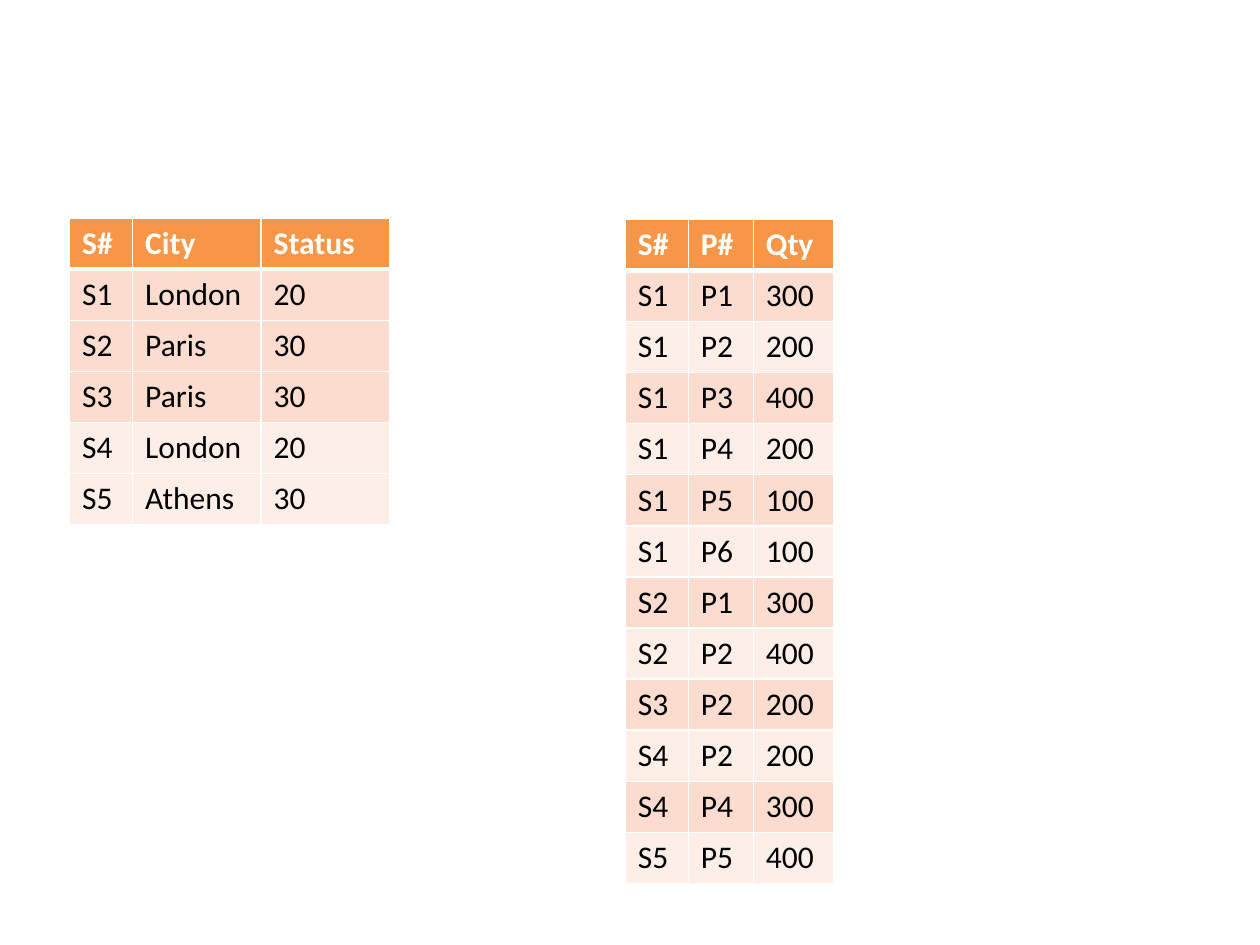
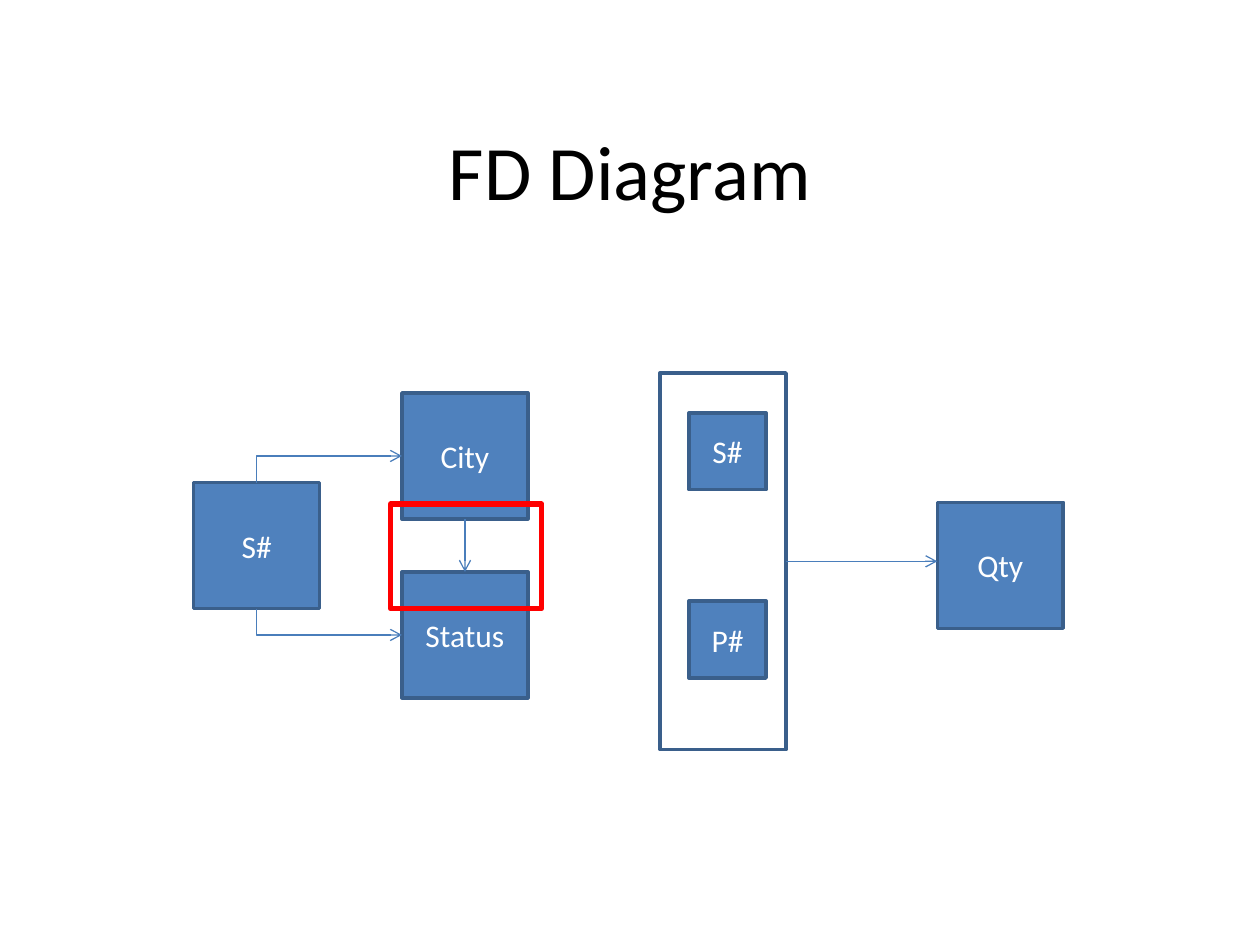
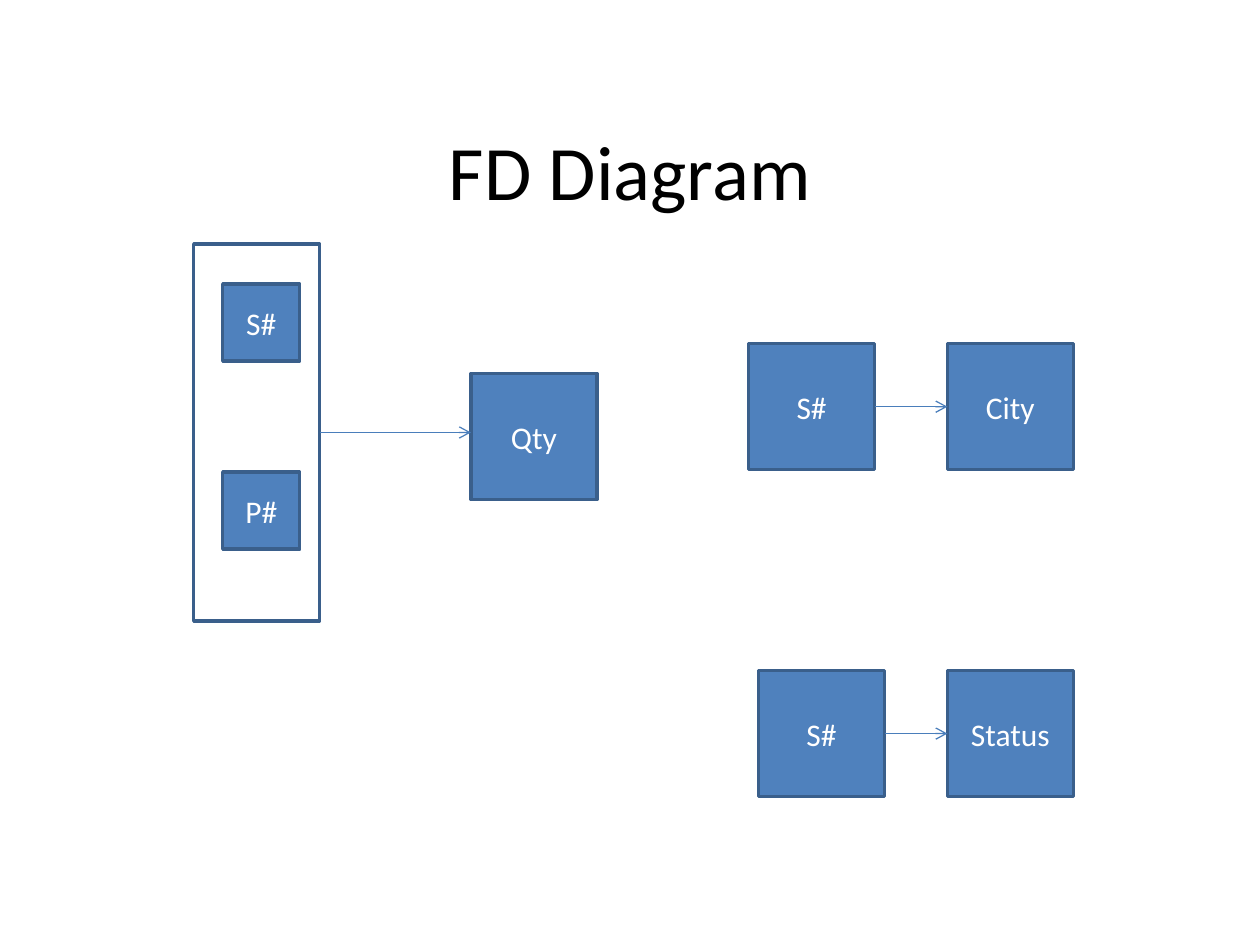
from lxml.etree import SubElement
from pptx import Presentation
from pptx.dml.color import RGBColor
from pptx.enum.shapes import MSO_CONNECTOR as Connector, MSO_SHAPE as Shape
from pptx.enum.text import MSO_ANCHOR as Anchor, PP_ALIGN as Align
from pptx.oxml.ns import qn
from pptx.util import Pt

FONT = "Calibri"
WHITE, BLACK, RED = "FFFFFF", "000000", "FF0000"
BLUE, DARK_BLUE, ARROW_BLUE = "4F81BD", "3A5F8B", "4A7EBB"
HEADER, DARK_BAND, LIGHT_BAND = "F79646", "FBDCCF", "FDEEE8"
TITLE_ONLY, BLANK = 5, 6
BOX, KEY_BOX, ROW_HEIGHT = 72, 44, 29.2


def color(value):
    return RGBColor.from_string(value)


def write(frame, text, size=18, ink=WHITE, bold=False, align=Align.CENTER):
    paragraph = frame.paragraphs[0]
    paragraph.alignment = align
    run = paragraph.add_run()
    run.text = text
    run.font.name, run.font.size, run.font.bold = FONT, Pt(size), bold
    run.font.color.rgb = color(ink)


def set_border(cell, side, width):
    line = SubElement(cell._tc.get_or_add_tcPr(), qn(f"a:ln{side}"), w=str(Pt(width)))
    fill = SubElement(line, qn("a:solidFill"))
    SubElement(fill, qn("a:srgbClr"), val=WHITE)


def side_point(shape, side):
    """Middle of one side of a shape, in points."""
    x, y = shape.left.pt, shape.top.pt
    width, height = shape.width.pt, shape.height.pt
    across, down = {"left": (0, 0.5), "right": (1, 0.5),
                    "top": (0.5, 0), "bottom": (0.5, 1)}[side]
    return x + across * width, y + down * height


class Deck:
    def __init__(self):
        self.presentation = Presentation()
        self.presentation.slide_width = Pt(720)
        self.presentation.slide_height = Pt(540)
        self.slide = None

    def new_slide(self, title=None):
        layout = self.presentation.slide_layouts[TITLE_ONLY if title else BLANK]
        self.slide = self.presentation.slides.add_slide(layout)
        if title:
            shape = self.slide.shapes.title
            shape.left, shape.top, shape.width, shape.height = map(Pt, (36, 60.5, 648, 73.5))
            shape.text_frame.vertical_anchor = Anchor.MIDDLE
            write(shape.text_frame, title, size=44, ink=BLACK)

    def box(self, x, y, width=BOX, height=BOX, text="", fill=BLUE, line=DARK_BLUE, weight=2):
        shape = self.slide.shapes.add_shape(Shape.RECTANGLE, *map(Pt, (x, y, width, height)))
        shape.shadow.inherit = False
        if fill:
            shape.fill.solid()
            shape.fill.fore_color.rgb = color(fill)
        else:
            shape.fill.background()
        shape.line.color.rgb = color(line)
        shape.line.width = Pt(weight)
        if text:
            shape.text_frame.word_wrap = True
            shape.text_frame.vertical_anchor = Anchor.MIDDLE
            write(shape.text_frame, text)
        return shape

    def arrow(self, start, end, kind=Connector.STRAIGHT):
        connector = self.slide.shapes.add_connector(kind, *map(Pt, (*start, *end)))
        connector.line.color.rgb = color(ARROW_BLUE)
        connector.line.width = Pt(0.75)
        SubElement(connector.line._get_or_add_ln(), qn("a:tailEnd"), type="arrow")
        SubElement(connector.element.spPr, qn("a:effectLst"))
        return connector

    def corner_arrow(self, start, end):
        """Arrow that leaves vertically and then turns to the right."""
        (x1, y1), (x2, y2) = start, end
        middle_x, middle_y = (x1 + x2) / 2, (y1 + y2) / 2
        half_run, half_rise = (x2 - x1) / 2, abs(y2 - y1) / 2
        upward = y2 < y1
        tilt = half_run if upward else -half_run
        connector = self.arrow((middle_x + half_rise, middle_y + tilt),
                               (middle_x - half_rise, middle_y - tilt), Connector.ELBOW)
        properties = connector.element.spPr
        properties.find(qn("a:xfrm")).set("rot", str((90 if upward else 270) * 60000))
        properties.find(qn("a:prstGeom")).set("prst", "bentConnector2")

    def dependency(self, source, target):
        self.arrow(side_point(source, "right"), side_point(target, "left"))

    def composite_key(self, x, y):
        """S# and P# together determine Qty."""
        frame = self.box(x, y, height=215.3, fill=WHITE)
        for text, offset in (("S#", 22.8), ("P#", 130.4)):
            self.box(x + 16.6, y + offset, KEY_BOX, KEY_BOX, text)
        quantity = self.box(x + 158.4, y + 74, text="Qty")
        start = side_point(frame, "right")
        self.arrow(start, (quantity.left.pt, start[1]))

    def table(self, x, y, widths, rows, fills):
        table = self.slide.shapes.add_table(
            len(rows), len(widths), Pt(x), Pt(y),
            Pt(sum(widths)), Pt(ROW_HEIGHT * len(rows))).table
        table.horz_banding = False
        for column, width in zip(table.columns, widths):
            column.width = Pt(width)
        for index, (values, fill) in enumerate(zip(rows, fills)):
            table.rows[index].height = Pt(ROW_HEIGHT)
            is_header = index == 0
            for cell, text in zip(table.rows[index].cells, values):
                for side in "LRTB":
                    under_header = (index, side) in ((0, "B"), (1, "T"))
                    set_border(cell, side, 3 if under_header else 0.96)
                cell.fill.solid()
                cell.fill.fore_color.rgb = color(fill)
                write(cell.text_frame, text, ink=WHITE if is_header else BLACK,
                      bold=is_header, align=Align.LEFT)


def main():
    deck = Deck()

    # Shipments and suppliers tables
    deck.new_slide()
    shipments = """S# P# Qty
        S1 P1 300
        S1 P2 200
        S1 P3 400
        S1 P4 200
        S1 P5 100
        S1 P6 100
        S2 P1 300
        S2 P2 400
        S3 P2 200
        S4 P2 200
        S4 P4 300
        S5 P5 400"""
    suppliers = """S# City Status
        S1 London 20
        S2 Paris 30
        S3 Paris 30
        S4 London 20
        S5 Athens 30"""
    shipment_rows, supplier_rows = (
        [line.split() for line in block.splitlines()] for block in (shipments, suppliers))
    deck.table(357.3, 125.3, (36, 37.2, 46), shipment_rows,
               [HEADER] + [DARK_BAND, LIGHT_BAND] * 6)
    deck.table(39.8, 124.6, (36, 73.4, 73.4), supplier_rows,
               [HEADER] + [DARK_BAND] * 3 + [LIGHT_BAND] * 2)

    # Dependencies with the transitive one marked
    deck.new_slide("FD Diagram")
    supplier = deck.box(110.7, 275.8, text="S#")
    status = deck.box(229.7, 326.8, text="Status")
    city = deck.box(229.7, 224.6, text="City")
    deck.composite_key(377.2, 213.1)
    deck.corner_arrow(side_point(supplier, "top"), side_point(city, "left"))
    deck.corner_arrow(side_point(supplier, "bottom"), side_point(status, "left"))
    deck.arrow(side_point(city, "bottom"), side_point(status, "top"))
    deck.box(223.2, 288, 86.4, 59.8, fill=None, line=RED, weight=3)

    # Dependencies after the split
    deck.new_slide("FD Diagram")
    deck.composite_key(110.7, 139.5)
    for text, source_x, y in (("City", 427.8, 196.4), ("Status", 433.5, 383.2)):
        source = deck.box(source_x, y, text="S#")
        deck.dependency(source, deck.box(541.4, y, text=text))

    deck.presentation.save("out.pptx")


if __name__ == "__main__":
    main()
